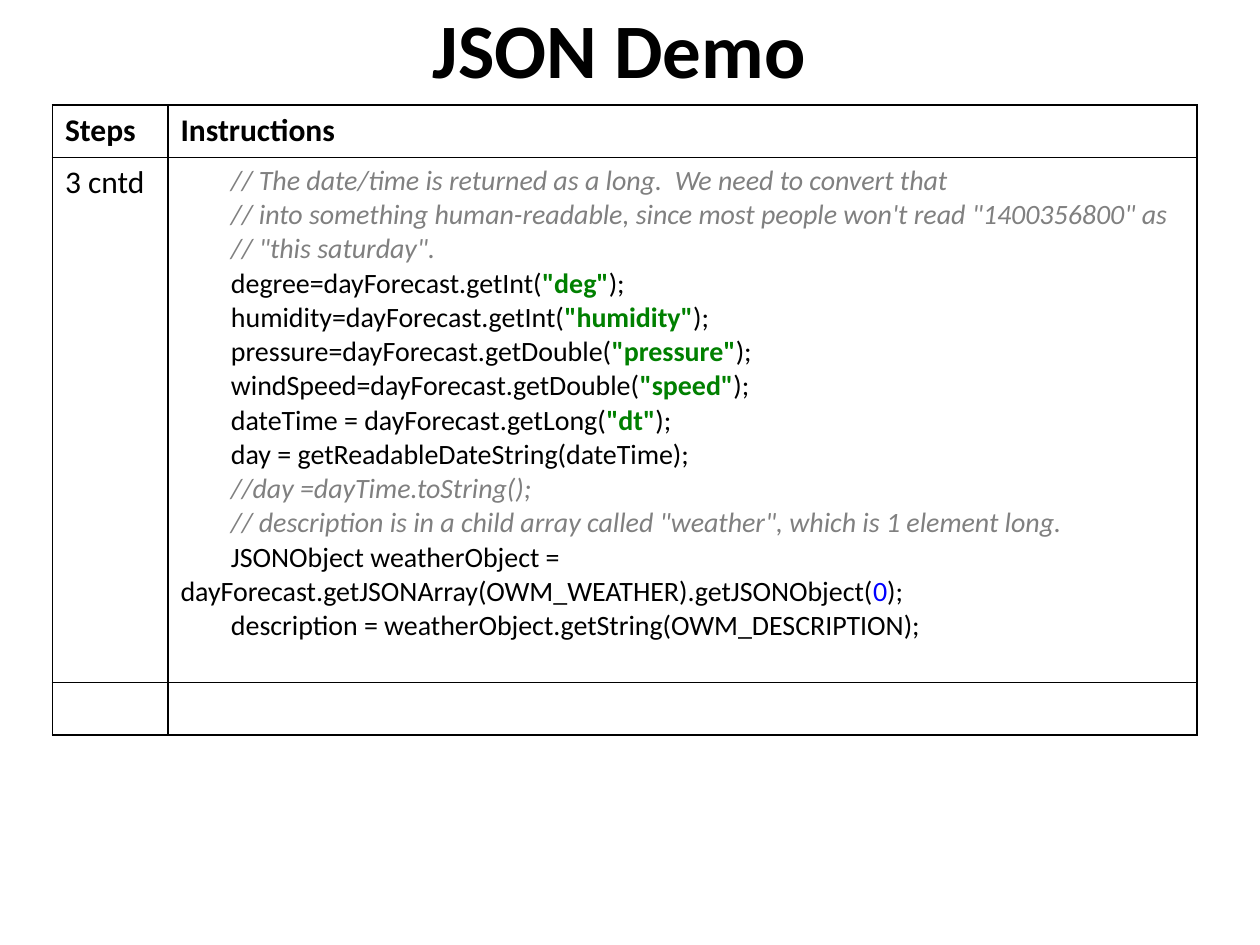
from lxml import etree
from pptx import Presentation
from pptx.dml.color import RGBColor
from pptx.enum.text import MSO_ANCHOR, PP_ALIGN
from pptx.oxml.ns import qn
from pptx.util import Inches, Pt

MIDDLE = MSO_ANCHOR.MIDDLE
CENTER = PP_ALIGN.CENTER

COLORS = {
    "plain": "000000",
    "comment": "808080",
    "string": "008000",
    "number": "0000FF",
    "border": "000000",
}
INDENT = " " * 8


class SlideBuilder:
    """Places elements on a grid of 120 columns by 90 rows."""

    font_name = "Calibri"
    title_size, body_size, code_size = 44, 18, 16
    border_width = 1

    def __init__(self, presentation):
        self.slide = presentation.slides.add_slide(presentation.slide_layouts[6])
        self.column = presentation.slide_width // 120
        self.row = presentation.slide_height // 90

    def place(self, left, top, width, height):
        return (left * self.column, top * self.row,
                width * self.column, height * self.row)

    def format_font(self, font, size, kind="plain", bold=False):
        font.name = self.font_name
        font.size = Pt(size)
        font.bold = bold or kind == "string"
        font.italic = kind == "comment"
        font.color.rgb = RGBColor.from_string(COLORS[kind])

    def add_title(self, text, *area):
        text_frame = self.slide.shapes.add_textbox(*self.place(*area)).text_frame
        text_frame.word_wrap = True
        text_frame.vertical_anchor = MIDDLE
        paragraph = text_frame.paragraphs[0]
        paragraph.text = text
        paragraph.alignment = CENTER
        self.format_font(paragraph.runs[0].font, self.title_size, bold=True)

    def add_table(self, left, top, widths, heights):
        area = self.place(left, top, sum(widths), sum(heights))
        table = self.slide.shapes.add_table(len(heights), len(widths), *area).table
        table.first_row = table.horz_banding = False
        for column, width in zip(table.columns, widths):
            column.width = width * self.column
        for row, height in zip(table.rows, heights):
            row.height = height * self.row
        for cell in table.iter_cells():
            self.add_borders(cell)
            cell.fill.background()
            self.format_font(cell.text_frame.paragraphs[0].font, self.body_size)
        return table

    def add_borders(self, cell):
        properties = cell._tc.get_or_add_tcPr()
        for side in ("a:lnL", "a:lnR", "a:lnT", "a:lnB"):
            line = etree.SubElement(properties, qn(side), w=str(Pt(self.border_width)))
            fill = etree.SubElement(line, qn("a:solidFill"))
            etree.SubElement(fill, qn("a:srgbClr"), val=COLORS["border"])

    def fill_cell(self, cell, text, bold=False):
        cell.text_frame.text = text
        self.format_font(cell.text_frame.paragraphs[0].runs[0].font,
                         self.body_size, bold=bold)

    def fill_code(self, cell, lines):
        text_frame = cell.text_frame
        for index, segments in enumerate(lines):
            paragraph = text_frame.add_paragraph() if index else text_frame.paragraphs[0]
            for position, (text, kind) in enumerate(segments):
                run = paragraph.add_run()
                run.text = text if position else INDENT + text
                self.format_font(run.font, self.code_size, kind)


def plain(text):
    return [(text, "plain")]


def comment(text):
    return [(text, "comment")]


def call(start, argument, kind="string"):
    """A statement ending in a call with one highlighted argument."""
    return [(start + "(", "plain"), (argument, kind), (");", "plain")]


CODE = [
    comment("// The date/time is returned as a long.  We need to convert that"),
    comment("// into something human-readable, since most people won't read "
            '"1400356800" as'),
    comment('// "this saturday".'),
    call("degree=dayForecast.getInt", '"deg"'),
    call("humidity=dayForecast.getInt", '"humidity"'),
    call("pressure=dayForecast.getDouble", '"pressure"'),
    call("windSpeed=dayForecast.getDouble", '"speed"'),
    call("dateTime = dayForecast.getLong", '"dt"'),
    plain("day = getReadableDateString(dateTime);"),
    comment("//day =dayTime.toString();"),
    comment('// description is in a child array called "weather", '
            "which is 1 element long."),
    call("JSONObject weatherObject = "
         "dayForecast.getJSONArray(OWM_WEATHER).getJSONObject", "0", "number"),
    plain("description = weatherObject.getString(OWM_DESCRIPTION);"),
]


def main():
    presentation = Presentation()
    presentation.slide_width = Inches(10)
    presentation.slide_height = Inches(7.5)
    builder = SlideBuilder(presentation)

    builder.add_title("JSON Demo", 5, -3, 108, 15)
    table = builder.add_table(5, 10, widths=(11, 98), heights=(5, 50, 5))
    for index, heading in enumerate(("Steps", "Instructions")):
        builder.fill_cell(table.cell(0, index), heading, bold=True)
    builder.fill_cell(table.cell(1, 0), "3 cntd")
    builder.fill_code(table.cell(1, 1), CODE)

    presentation.save("out.pptx")


if __name__ == "__main__":
    main()
